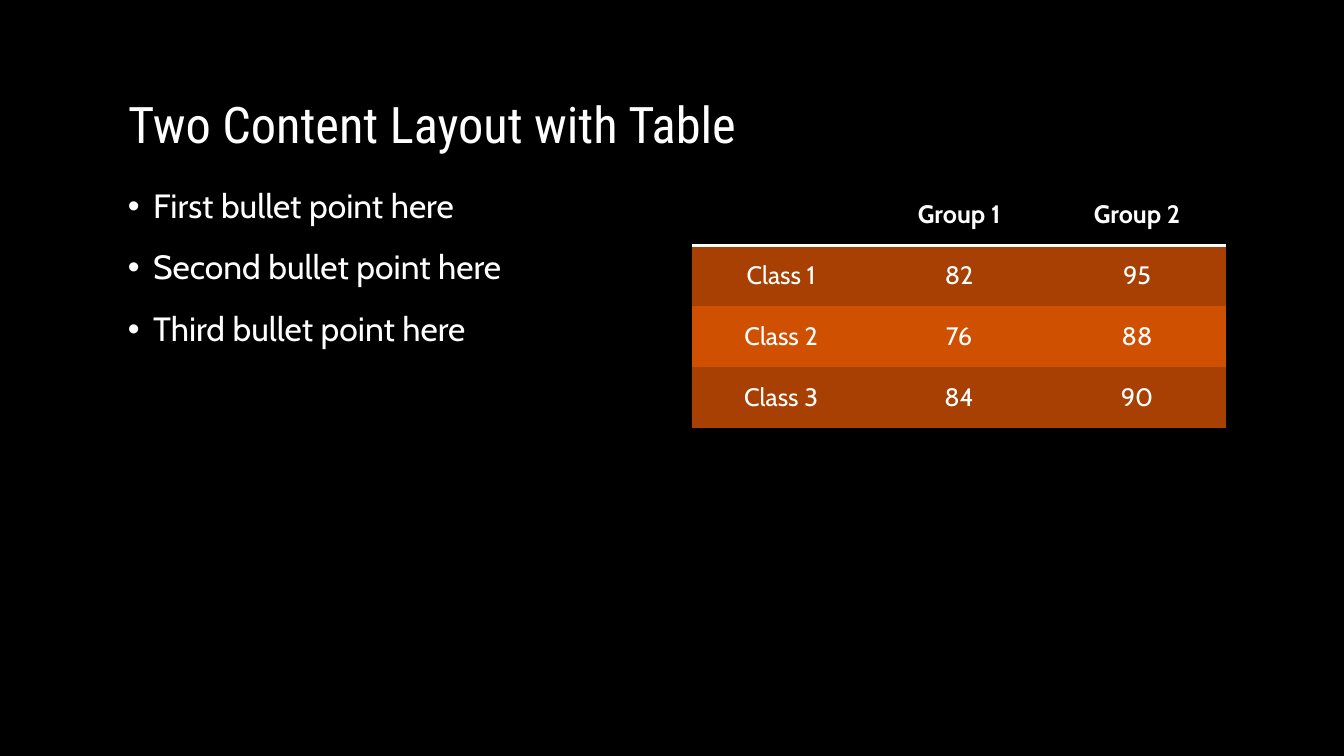
from dataclasses import dataclass

import lxml.etree
import pptx
import pptx.dml.color
import pptx.enum.text
import pptx.oxml
import pptx.oxml.ns
import pptx.util

WIDE, HIGH = 13.33, 7.5
HEAD_FONT, BODY_FONT = "Roboto Condensed", "Cabin"
WHITE, BLACK, RUST, AMBER = "FFFFFF", "000000", "A74002", "D05002"
NO_GRID = "{2D5ABB26-0587-4C30-8999-92F81FD0307C}"
ALIGN = pptx.enum.text.PP_ALIGN
ANCHOR = pptx.enum.text.MSO_ANCHOR


@dataclass
class Box:
    """Place and size in inches."""
    left: float
    top: float
    width: float
    height: float

    def place(self) -> list[int]:
        return [pptx.util.Inches(n)
                for n in (self.left, self.top, self.width, self.height)]


@dataclass
class Row:
    """One table row with its look."""
    texts: tuple[str, ...]
    fill: str
    bold: bool = False
    rule: bool = False


# Two equal columns between the side margins
MARGIN, GAP, TOP = 1.17, 0.4, 1.83
SPAN = WIDE - 2 * MARGIN
HALF = (SPAN - GAP) / 2
TITLE = Box(MARGIN, 0.33, SPAN, 1.25)
LIST = Box(MARGIN, TOP, HALF, 4.75)
TABLE = Box(MARGIN + HALF + GAP, TOP, HALF, 2.42)

POINTS = ("First bullet point here", "Second bullet point here",
          "Third bullet point here")
ROWS = (
    Row(("", "Group 1", "Group 2"), BLACK, bold=True, rule=True),
    Row(("Class 1", "82", "95"), RUST),
    Row(("Class 2", "76", "88"), AMBER),
    Row(("Class 3", "84", "90"), RUST),
)


def paint(fill, color: str) -> None:
    fill.solid()
    fill.fore_color.rgb = pptx.dml.color.RGBColor.from_string(color)


def add_run(para, text: str, size: int, font: str = BODY_FONT,
            bold: bool = False) -> None:
    run = para.add_run()
    run.text = text
    run.font.name = font
    run.font.size = pptx.util.Pt(size)
    run.font.bold = bold
    paint(run.font.fill, WHITE)


def add_title(slide, text: str) -> None:
    title = slide.shapes.title
    title.left, title.top, title.width, title.height = TITLE.place()
    frame = title.text_frame
    frame.auto_size = pptx.enum.text.MSO_AUTO_SIZE.NONE
    frame.vertical_anchor = ANCHOR.BOTTOM
    para = frame.paragraphs[0]
    para.alignment = ALIGN.LEFT
    para.line_spacing = 0.9
    add_run(para, text, 36, HEAD_FONT)


def add_list(slide, points: tuple[str, ...]) -> None:
    frame = slide.shapes.add_textbox(*LIST.place()).text_frame
    frame.word_wrap = True
    indent = pptx.util.Inches(0.25)
    for index, point in enumerate(points):
        para = frame.add_paragraph() if index else frame.paragraphs[0]
        para.line_spacing = 0.9
        para.space_before = pptx.util.Pt(18)
        add_run(para, point, 24)
        # Hanging bullet
        props = para._p.get_or_add_pPr()
        props.set("marL", str(indent))
        props.set("indent", str(-indent))
        for tag, name, value in (("a:buFont", "typeface", "Arial"),
                                 ("a:buChar", "char", "•")):
            mark = lxml.etree.SubElement(props, pptx.oxml.ns.qn(tag))
            mark.set(name, value)


def add_rule(cell) -> None:
    """Draw a white line along the bottom of a cell."""
    line = pptx.oxml.parse_xml(
        f'<a:lnB {pptx.oxml.ns.nsdecls("a")} w="{pptx.util.Pt(2)}">'
        f'<a:solidFill><a:srgbClr val="{WHITE}"/></a:solidFill></a:lnB>')
    cell._tc.get_or_add_tcPr().insert(0, line)


def add_table(slide, rows: tuple[Row, ...]) -> None:
    count = len(rows[0].texts)
    frame = slide.shapes.add_table(len(rows), count, *TABLE.place())
    table = frame.table
    table.horz_banding = False
    style = table._tbl.tblPr.find(pptx.oxml.ns.qn("a:tableStyleId"))
    style.text = NO_GRID
    for line, row in enumerate(rows):
        for index, text in enumerate(row.texts):
            cell = table.cell(line, index)
            paint(cell.fill, row.fill)
            cell.vertical_anchor = ANCHOR.MIDDLE
            para = cell.text_frame.paragraphs[0]
            para.alignment = ALIGN.CENTER
            if text:
                add_run(para, text, 18, bold=row.bold)
            if row.rule:
                add_rule(cell)


def main() -> None:
    deck = pptx.Presentation()
    deck.slide_width = pptx.util.Inches(WIDE)
    deck.slide_height = pptx.util.Inches(HIGH)
    slide = deck.slides.add_slide(deck.slide_layouts[5])
    paint(slide.background.fill, BLACK)
    add_title(slide, "Two Content Layout with Table")
    add_list(slide, POINTS)
    add_table(slide, ROWS)
    deck.save("out.pptx")


if __name__ == "__main__":
    main()
